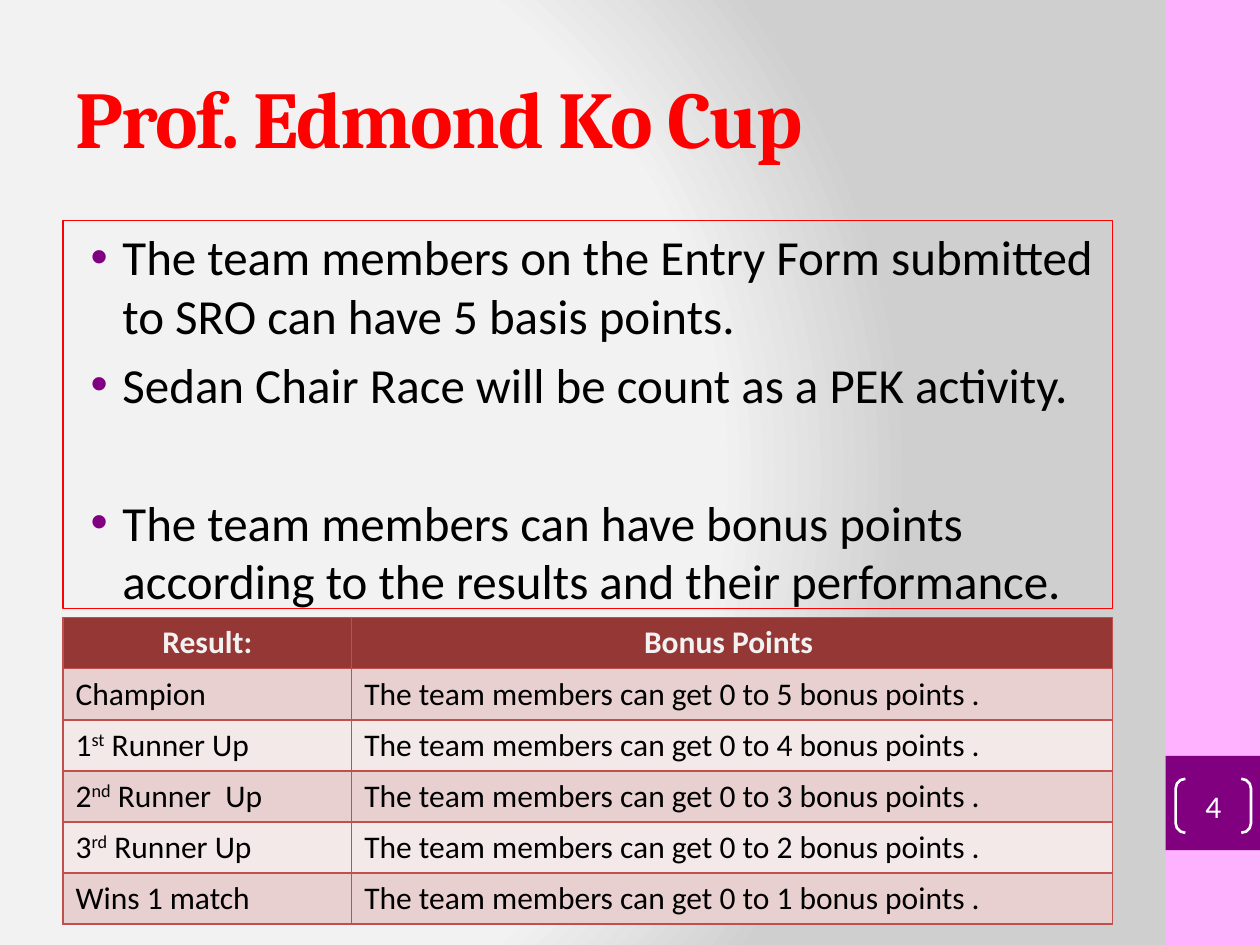
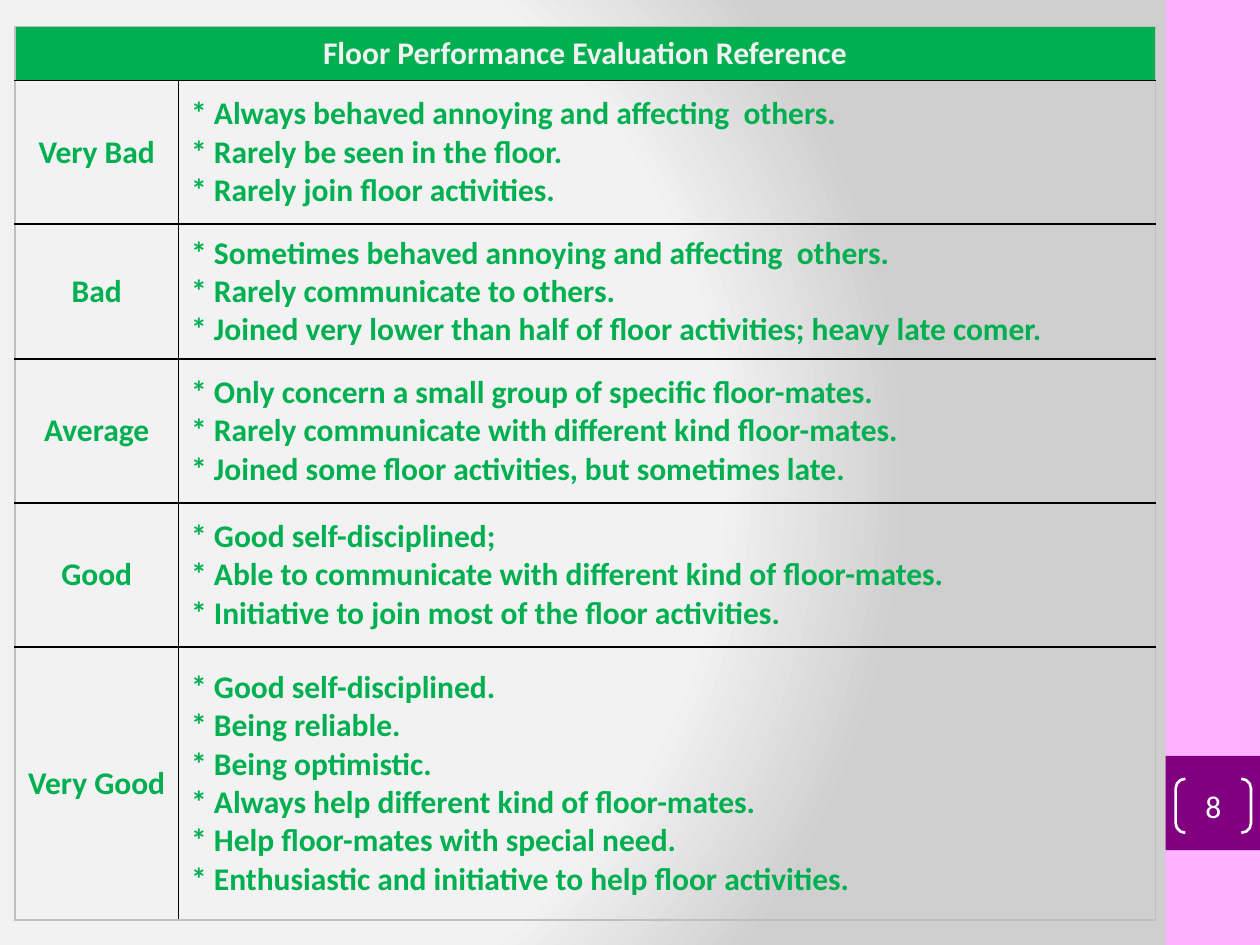
"""Build two slides on the sedan chair race bonus points and the floor performance reference."""
from lxml import etree
from pptx import Presentation
from pptx.dml.color import RGBColor
from pptx.enum.shapes import MSO_SHAPE
from pptx.enum.text import MSO_ANCHOR, PP_ALIGN
from pptx.oxml import parse_xml
from pptx.oxml.ns import nsdecls, qn
from pptx.util import Cm, Pt

BLACK, WHITE, RED, PURPLE, PINK = "000000", "FFFFFF", "FF0000", "800080", "FEB2FF"
HEADER_TEXT, MAROON, ROSE, PALE_ROSE, BRICK = "F2F2F2", "953735", "E8D0D0", "F4E9E9", "C0504D"
GREEN, SILVER = "00B050", "BFBFBF"
BACKDROP = [(0, "F3F3F3"), (75, "F2F2F2"), (100, "CFCFCF")]
TITLE_ONLY, BLANK = 5, 6

RULES = [
    ("The team members on the Entry Form submitted to SRO can have 5 basis points.", 5.6),
    ("Sedan Chair Race will be count as a PEK activity.", 5.6),
    ("The team members can have bonus points according to the results and their performance.", 45),
]
RESULTS = ["Champion", "1^st^ Runner Up", "2^nd^ Runner  Up", "3^rd^ Runner Up", "Wins 1 match"]
GRADES = {
    "Very Bad": [
        "* Always behaved annoying and affecting  others.",
        "* Rarely be seen in the floor.",
        "* Rarely join floor activities.",
    ],
    "Bad": [
        "* Sometimes behaved annoying and affecting  others.",
        "* Rarely communicate to others.",
        "* Joined very lower than half of floor activities; heavy late comer.",
    ],
    "Average": [
        "* Only concern a small group of specific floor-mates.",
        "* Rarely communicate with different kind floor-mates.",
        "* Joined some floor activities, but sometimes late.",
    ],
    "Good": [
        "* Good self-disciplined;",
        "* Able to communicate with different kind of floor-mates.",
        "* Initiative to join most of the floor activities.",
    ],
    "Very Good": [
        "* Good self-disciplined.",
        "* Being reliable.",
        "* Being optimistic.",
        "* Always help different kind of floor-mates.",
        "* Help floor-mates with special need.",
        "* Enthusiastic and initiative to help floor activities.",
    ],
}


def rgb(value):
    return RGBColor.from_string(value)


def lengths(*values):
    return [Cm(value) for value in values]


class Deck:
    def __init__(self):
        self.prs = Presentation()
        self.prs.slide_width, self.prs.slide_height = lengths(25.4, 19.05)
        self.slide = None
        self.backdrop()

    def backdrop(self):
        master = self.prs.slide_master
        master.background.fill.solid()
        solid = master.element.find(".//" + qn("p:bgPr")).find(qn("a:solidFill"))
        stops = "".join(
            f'<a:gs pos="{pos * 1000}"><a:srgbClr val="{color}"/></a:gs>' for pos, color in BACKDROP
        )
        solid.getparent().replace(solid, parse_xml(
            f'<a:gradFill {nsdecls("a")} rotWithShape="1"><a:gsLst>{stops}</a:gsLst><a:path path="circle">'
            '<a:fillToRect l="20000" t="50000" r="100000" b="50000"/></a:path></a:gradFill>'
        ))

    def new_slide(self, layout, number):
        self.slide = self.prs.slides.add_slide(self.prs.slide_layouts[layout])
        self.shape(MSO_SHAPE.RECTANGLE, (23.5, 0, 1.9, 19.05), fill=PINK)
        self.shape(MSO_SHAPE.RECTANGLE, (23.5, 15.24, 1.9, 1.9), fill=PURPLE)
        bracket = self.shape(MSO_SHAPE.DOUBLE_BRACKET, (23.7, 15.7, 1.52, 1.09), line=WHITE, weight=1.5)
        bracket.adjustments[0] = 0.18
        frame = bracket.text_frame
        insets = dict.fromkeys(("margin_left", "margin_right", "margin_top", "margin_bottom"), 0)
        for name, value in {**insets, "vertical_anchor": MSO_ANCHOR.MIDDLE}.items():
            setattr(frame, name, value)
        self.text(frame.paragraphs[0], number, WHITE, align=PP_ALIGN.CENTER)

    def shape(self, kind, box, fill=None, line=None, weight=0.75):
        shape = self.slide.shapes.add_shape(kind, *lengths(*box))
        shape.shadow.inherit = False
        for part, color in ((shape.fill, fill), (shape.line.fill, line)):
            if color:
                part.solid()
                part.fore_color.rgb = rgb(color)
            else:
                part.background()
        if line:
            shape.line.width = Pt(weight)
        return shape

    def text(self, paragraph, content, color, align=PP_ALIGN.LEFT, **style):
        paragraph.alignment = align
        font_values = {"name": "Calibri", "size": Pt(18), "bold": False, **style}
        for index, piece in enumerate(content.split("^")):
            run = paragraph.add_run()
            run.text = piece
            for name, value in font_values.items():
                setattr(run.font, name, value)
            run.font.color.rgb = rgb(color)
            if index % 2:
                run.font._element.set("baseline", "30000")

    def title(self, content, box):
        title = self.slide.shapes.title
        for name, value in zip(("left", "top", "width", "height"), lengths(*box)):
            setattr(title, name, value)
        title.text_frame.vertical_anchor = MSO_ANCHOR.MIDDLE
        paragraph = title.text_frame.paragraphs[0]
        self.text(paragraph, content, RED, name="Cambria", size=Pt(46), bold=True)
        paragraph.runs[0].font._element.set("spc", "-100")

    def bullets(self, items, box):
        frame = self.shape(MSO_SHAPE.RECTANGLE, box, line=RED).text_frame
        frame.word_wrap = True
        frame.vertical_anchor = MSO_ANCHOR.TOP
        for index, (content, gap) in enumerate(items):
            paragraph = frame.add_paragraph() if index else frame.paragraphs[0]
            paragraph.space_before = Pt(gap)
            self.text(paragraph, content, BLACK, size=Pt(28))
            props = paragraph._p.get_or_add_pPr()
            props.set("marL", str(Cm(0.95)))
            props.set("indent", str(-Cm(0.64)))
            color = etree.SubElement(props, qn("a:buClr"))
            etree.SubElement(color, qn("a:srgbClr"), val=PURPLE)
            etree.SubElement(props, qn("a:buFont"), typeface="Arial")
            etree.SubElement(props, qn("a:buChar"), char="•")

    def table(self, corner, widths, heights):
        size = (sum(widths), sum(heights))
        table = self.slide.shapes.add_table(len(heights), len(widths), *lengths(*corner, *size)).table
        table.first_row = table.horz_banding = False
        for column, width in zip(table.columns, widths):
            column.width = Cm(width)
        for row, height in zip(table.rows, heights):
            row.height = Cm(height)
        return table

    def cell(self, cell, lines, color, borders, fill=None, **style):
        cell.vertical_anchor = MSO_ANCHOR.MIDDLE
        for index, content in enumerate(lines):
            paragraph = cell.text_frame.add_paragraph() if index else cell.text_frame.paragraphs[0]
            self.text(paragraph, content, color, **style)
        props = cell._tc.get_or_add_tcPr()
        for side, border in zip("LRTB", borders):
            line = etree.SubElement(props, qn(f"a:ln{side}"), w=str(Pt(1)))
            solid = etree.SubElement(line, qn("a:solidFill"))
            etree.SubElement(solid, qn("a:srgbClr"), val=border)
        if fill:
            cell.fill.solid()
            cell.fill.fore_color.rgb = rgb(fill)
        else:
            cell.fill.background()


def bonus_slide(deck):
    deck.new_slide(TITLE_ONLY, "4")
    deck.title("Prof. Edmond Ko Cup", (1.27, 0.76, 21.16, 3.18))
    deck.bullets(RULES, (1.27, 4.45, 21.16, 7.82))
    bonus = deck.table((1.27, 12.45), (5.82, 15.34), [1.03] * 6)
    borders = [BRICK] * 4
    for column, heading in enumerate(("Result:", "Bonus Points ")):
        deck.cell(bonus.cell(0, column), [heading], HEADER_TEXT, borders, MAROON,
                  align=PP_ALIGN.CENTER, bold=True)
    for row, result in enumerate(RESULTS, 1):
        points = f"The team members can get 0 to {6 - row} bonus points ."
        for column, content in enumerate((result, points)):
            deck.cell(bonus.cell(row, column), [content], BLACK, borders, ROSE if row % 2 else PALE_ROSE)


def evaluation_slide(deck):
    deck.new_slide(BLANK, "8")
    evaluation = deck.table((0.3, 0.53), (3.3, 19.69), (1.09, 2.9, 2.72, 2.9, 2.9, 5.51))
    evaluation.cell(0, 0).merge(evaluation.cell(0, 1))
    header_borders = (SILVER, SILVER, SILVER, BLACK)
    for column, lines in enumerate((["Floor Performance Evaluation Reference"], [])):
        deck.cell(evaluation.cell(0, column), lines, HEADER_TEXT, header_borders, GREEN,
                  align=PP_ALIGN.CENTER, bold=True)
    for row, (grade, signs) in enumerate(GRADES.items(), 1):
        bottom = SILVER if row == len(GRADES) else BLACK
        deck.cell(evaluation.cell(row, 0), [grade], GREEN, (SILVER, BLACK, BLACK, bottom),
                  align=PP_ALIGN.CENTER, bold=True)
        deck.cell(evaluation.cell(row, 1), signs, GREEN, (BLACK, SILVER, BLACK, bottom), bold=True)


def main():
    deck = Deck()
    bonus_slide(deck)
    evaluation_slide(deck)
    deck.prs.save("out.pptx")


if __name__ == "__main__":
    main()
